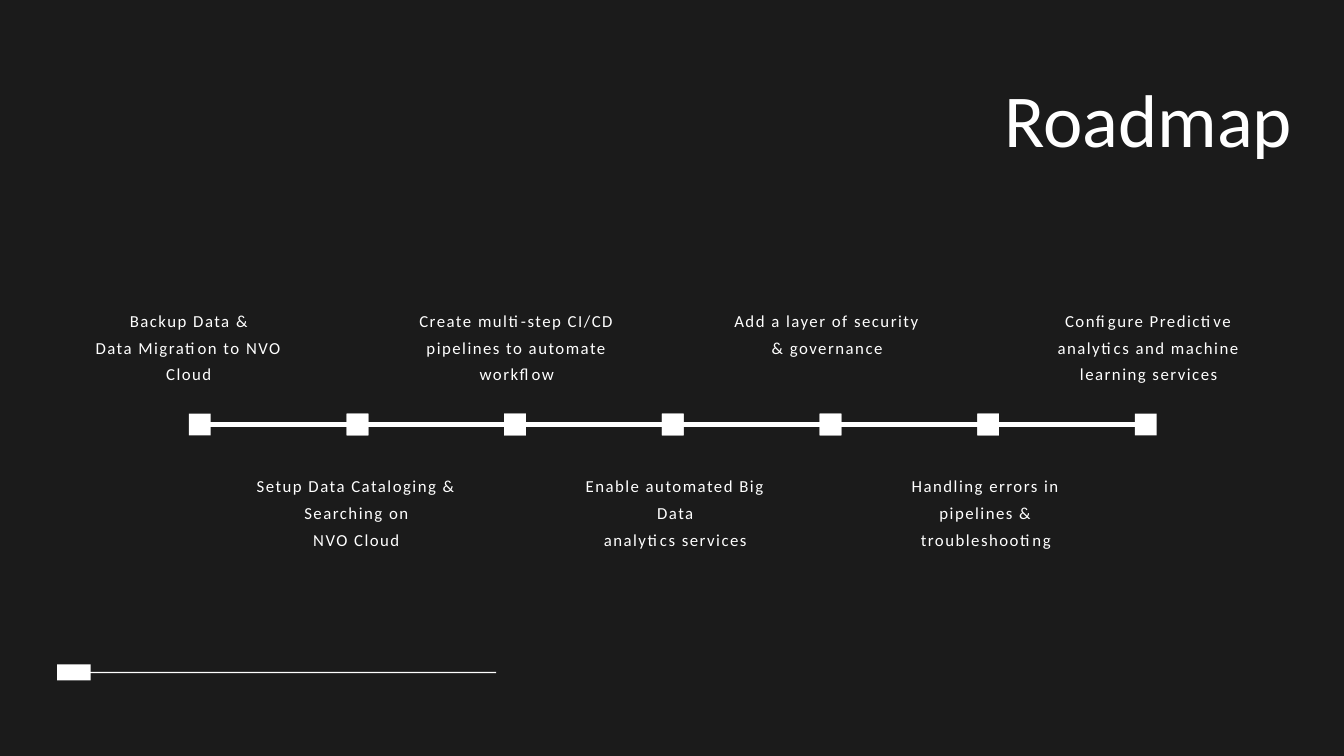
from dataclasses import dataclass

from pptx import Presentation
from pptx import util as u
from pptx.dml.color import RGBColor
from pptx.enum import shapes, text


@dataclass(frozen=True)
class Theme:
    back: RGBColor = RGBColor(0x1B, 0x1B, 0x1B)
    ink: RGBColor = RGBColor(0xFF, 0xFF, 0xFF)
    face: str = "Calibri"
    head: int = 80
    body: int = 18
    head_gap: float = 88
    body_gap: float = 28.8
    track: int = 160


class Deck:
    def __init__(self, theme, slide):
        self.theme = theme
        self.slide = slide
        fill = slide.background.fill
        fill.solid()
        fill.fore_color.rgb = theme.back

    def paint(self, shape):
        shape.shadow.inherit = False
        shape.fill.solid()
        shape.fill.fore_color.rgb = self.theme.ink
        shape.line.fill.background()

    def typeset(self, frame, lines, size, gap, align, track=0):
        look = {
            "margin_left": 0, "margin_right": 0, "margin_top": 0, "margin_bottom": 0,
            "word_wrap": True, "auto_size": text.MSO_AUTO_SIZE.NONE,
            "vertical_anchor": text.MSO_ANCHOR.TOP,
        }
        for name, value in look.items():
            setattr(frame, name, value)
        frame.text = "\n".join(lines)
        form = {"alignment": align, "line_spacing": u.Pt(gap),
                "space_before": u.Pt(0), "space_after": u.Pt(0)}
        font = {"size": u.Pt(size), "name": self.theme.face}
        for para in frame.paragraphs:
            for name, value in form.items():
                setattr(para, name, value)
            for run in para.runs:
                for name, value in font.items():
                    setattr(run.font, name, value)
                run.font.color.rgb = self.theme.ink
                if track:
                    run.font._element.set("spc", str(track))

    def title(self, words, left, top, width, height):
        shape = self.slide.shapes.title
        box = {"left": left, "top": top, "width": width, "height": height}
        for name, value in box.items():
            setattr(shape, name, u.Cm(value))
        self.typeset(shape.text_frame, [words], self.theme.head,
                     self.theme.head_gap, text.PP_ALIGN.RIGHT)

    def label(self, lines, left, top, width, height):
        box = self.slide.shapes.add_textbox(*map(u.Cm, (left, top, width, height)))
        self.typeset(box.text_frame, lines, self.theme.body, self.theme.body_gap,
                     text.PP_ALIGN.CENTER, self.theme.track)

    def block(self, left, top, width, height):
        kind = shapes.MSO_SHAPE.RECTANGLE
        self.paint(self.slide.shapes.add_shape(
            kind, *map(u.Cm, (left, top, width, height))))

    def link(self, left, top, pitch, node, bar):
        near, far, end = left + node, left + pitch, left + pitch + node
        high = top + (node - bar) / 2
        low, base = high + bar, top + node
        points = [(far, top), (far, high), (near, high), (near, top), (left, top),
                  (left, base), (near, base), (near, low), (far, low), (far, base),
                  (end, base), (end, top)]
        spots = [(u.Cm(x), u.Cm(y)) for x, y in points]
        pen = self.slide.shapes.build_freeform(*spots[0])
        pen.add_line_segments(spots[1:], close=True)
        self.paint(pen.convert_to_shape())


STEPS = [
    (3.35, 7.57, ["Backup Data &", "Data Migration to NVO Cloud"]),
    (9.42, 8.1, ["Setup Data Cataloging & Searching on", "NVO Cloud"]),
    (15.75, 7.57, ["Create multi-step CI/CD pipelines to automate workflow"]),
    (21.74, 7.57, ["Enable automated Big Data", "analytics services"]),
    (27.48, 7.57, ["Add a layer of security & governance"]),
    (33.48, 7.57, ["Handling errors in pipelines & troubleshooting"]),
    (39.37, 8.1, ["Configure Predictive analytics and machine learning services"]),
]


def main():
    show = Presentation()
    show.slide_width, show.slide_height = u.Cm(50.8), u.Cm(28.58)
    deck = Deck(Theme(), show.slides.add_slide(show.slide_layouts[5]))

    deck.title("Roadmap", 32.26, 3.05, 16.59, 3.2)
    deck.block(2.16, 25.4, 16.59, 0.05)
    deck.block(2.16, 25.12, 1.27, 0.6)

    pitch = 5.96
    for i in range(len(STEPS) - 1):
        deck.link(7.14 + i * pitch, 15.64, pitch, 0.82, 0.18)
    for i, (left, width, lines) in enumerate(STEPS):
        deck.label(lines, left, 17.73 if i % 2 else 11.48, width, 2.9)

    show.save("out.pptx")


if __name__ == "__main__":
    main()
